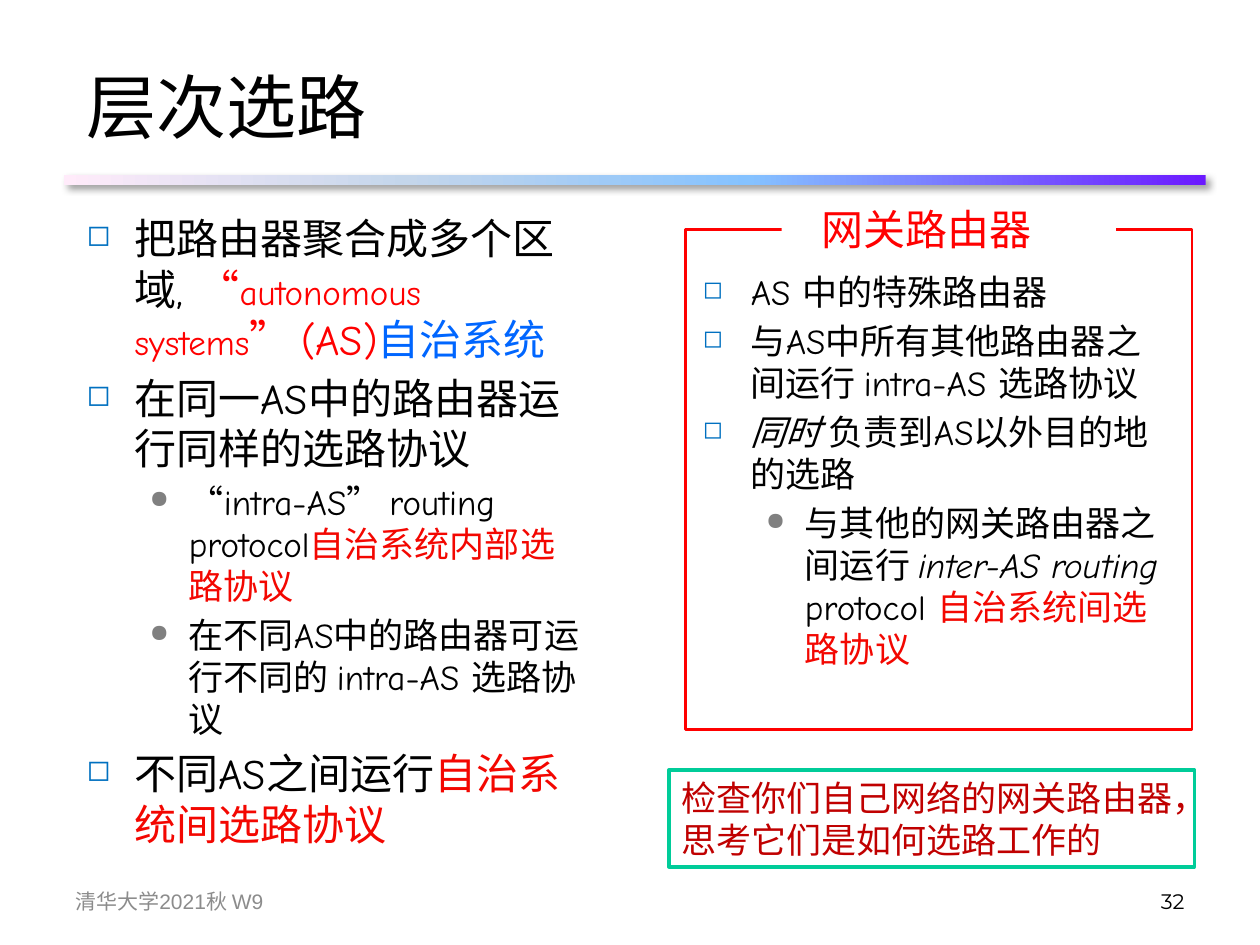
from lxml import etree
from pptx import Presentation
from pptx.dml.color import RGBColor
from pptx.enum.shapes import MSO_SHAPE
from pptx.enum.text import MSO_ANCHOR, MSO_AUTO_SIZE, PP_ALIGN
from pptx.oxml import parse_xml
from pptx.oxml.ns import qn
from pptx.util import Inches, Pt

RECT = MSO_SHAPE.RECTANGLE
TOP, MIDDLE = MSO_ANCHOR.TOP, MSO_ANCHOR.MIDDLE
LEFT, CENTER, RIGHT = PP_ALIGN.LEFT, PP_ALIGN.CENTER, PP_ALIGN.RIGHT
BLACK = RGBColor(0x00, 0x00, 0x00)
WHITE = RGBColor(0xFF, 0xFF, 0xFF)
RED = RGBColor(0xFF, 0x00, 0x00)
TERM_RED = RGBColor(0xF3, 0x07, 0x01)
DARK_RED = RGBColor(0xC0, 0x00, 0x00)
BLUE = RGBColor(0x00, 0x66, 0xFF)
BULLET_BLUE = RGBColor(0x00, 0x70, 0xC0)
BULLET_GRAY = RGBColor(0x80, 0x80, 0x80)
FOOTER_GRAY = RGBColor(0x8C, 0x8C, 0x8C)
GREEN = RGBColor(0x00, 0xCC, 0x99)
BAR_STOPS = [(0, RGBColor(0x6B, 0x19, 0xFF)), (40, RGBColor(0x85, 0xC2, 0xFF)),
             (70, RGBColor(0xC4, 0xD6, 0xEB)), (100, RGBColor(0xFF, 0xEB, 0xFA))]
DRAWING_NS = "http://schemas.openxmlformats.org/drawingml/2006/main"
BODY_FONT = "Comic Neue"
# Per level: bullet, bullet colour, text indent, hanging indent
LEVELS = [("◻", BULLET_BLUE, 0.38, 0.38), ("●", BULLET_GRAY, 0.81, 0.31)]

# Each item: level, runs of (text, size, colour, italic)
AS_ITEMS = [
    (0, [("把路由器聚合成多个区域,", 24, BLACK, False), (" “", 24, RED, False),
         ("autonomous systems", 20, RED, False), ("” (AS)", 24, RED, False),
         ("自治系统", 24, BLUE, False)]),
    (0, [("在同一AS中的路由器运行同样的选路协议", 24, BLACK, False)]),
    (1, [("“intra-AS” routing protocol", 20, BLACK, False),
         ("自治系统内部选路协议", 20, TERM_RED, False)]),
    (1, [("在不同AS中的路由器可运行不同的 intra-AS 选路协议", 20, BLACK, False)]),
    (0, [("不同AS之间运行", 24, BLACK, False),
         ("自治系统间选路协议", 24, TERM_RED, False)]),
]
GATEWAY_ITEMS = [
    (0, [("AS 中的特殊路由器", 20, BLACK, False)]),
    (0, [("与AS中所有其他路由器之间运行 intra-AS 选路协议", 20, BLACK, False)]),
    (0, [("同时 ", 20, BLACK, True), ("负责到AS以外目的地的选路", 20, BLACK, False)]),
    (1, [("与其他的网关路由器之间运行 ", 20, BLACK, False),
         ("inter-AS routing", 20, BLACK, True), (" protocol ", 20, BLACK, False),
         ("自治系统间选路协议", 20, TERM_RED, False)]),
]


def inches(box):
    return [Inches(value) for value in box]


def inside(box, left, top, width, height):
    """Return a box whose place and size are shares of the outer box."""
    x, y, w, h = box
    return x + left * w, y + top * h, width * w, height * h


def add_span(para, text, size, color, font, italic=False):
    span = para.add_run()
    span.text = text
    span.font.size, span.font.name = Pt(size), font
    span.font.color.rgb = color
    span.font.italic = italic


def set_frame(shape, anchor=TOP, wrap=True):
    frame = shape.text_frame
    frame.word_wrap = wrap
    frame.auto_size = MSO_AUTO_SIZE.NONE
    frame.vertical_anchor = anchor
    return frame


def add_line_of_text(page, box, text, size, color, font, align, anchor=MIDDLE, wrap=True):
    frame = set_frame(page.shapes.add_textbox(*inches(box)), anchor, wrap)
    para = frame.paragraphs[0]
    para.alignment = align
    add_span(para, text, size, color, font)


def add_rect(page, box, fill=None, line=None, weight=1.5):
    shape = page.shapes.add_shape(RECT, *inches(box))
    shape.shadow.inherit = False
    if fill is None:
        shape.fill.background()
    else:
        shape.fill.solid()
        shape.fill.fore_color.rgb = fill
    if line is None:
        shape.line.fill.background()
    else:
        shape.line.color.rgb = line
        shape.line.width = Pt(weight)
    return shape


def set_bullet(para, level):
    mark, color, indent, hanging = LEVELS[level]
    props = para._p.get_or_add_pPr()
    props.set("marL", str(Inches(indent)))
    props.set("indent", str(-Inches(hanging)))
    bullet_color = etree.SubElement(props, qn("a:buClr"))
    etree.SubElement(bullet_color, qn("a:srgbClr"), val=str(color))
    etree.SubElement(props, qn("a:buSzPct"), val="70000")
    etree.SubElement(props, qn("a:buChar"), char=mark)


def add_bullets(page, box, items):
    frame = set_frame(page.shapes.add_textbox(*inches(box)))
    for number, (level, spans) in enumerate(items):
        para = frame.add_paragraph() if number else frame.paragraphs[0]
        para.level = level
        para.space_before = Pt(0.2 * spans[0][1])
        set_bullet(para, level)
        for text, size, color, italic in spans:
            add_span(para, text, size, color, BODY_FONT, italic)


def add_title(page, box):
    title = page.shapes.title
    title.left, title.top, title.width, title.height = inches(box)
    para = set_frame(title, MIDDLE).paragraphs[0]
    para.alignment = LEFT
    add_span(para, "层次选路", 40, BLACK, "Calibri")


def add_title_bar(page, box):
    """Draw the shaded rule under the title, with its soft shadow."""
    bar = add_rect(page, box, WHITE)
    props = bar._element.spPr
    stops = "".join(f'<a:gs pos="{share * 1000}"><a:srgbClr val="{color}"/></a:gs>'
                    for share, color in BAR_STOPS)
    gradient = parse_xml(f'<a:gradFill xmlns:a="{DRAWING_NS}"><a:gsLst>{stops}</a:gsLst>'
                         '<a:lin ang="10800000" scaled="0"/></a:gradFill>')
    props.replace(props.find(qn("a:solidFill")), gradient)
    shadow = parse_xml(
        f'<a:outerShdw xmlns:a="{DRAWING_NS}" blurRad="{Pt(4)}" dist="{Pt(3)}" dir="2700000">'
        '<a:srgbClr val="000000"><a:alpha val="40000"/></a:srgbClr></a:outerShdw>')
    props.find(qn("a:effectLst")).append(shadow)


def add_gateway_panel(page, box):
    """Draw the framed list whose heading interrupts the top edge."""
    add_bullets(page, inside(box, 0.01, 0.07, 0.98, 1.05), GATEWAY_ITEMS)
    add_rect(page, box, line=RED)
    add_rect(page, inside(box, 0.19, -0.035, 0.66, 0.08), WHITE)
    add_line_of_text(page, inside(box, 0.24, -0.065, 0.47, 0.13), "网关路由器",
                     24, RED, BODY_FONT, CENTER, TOP, wrap=False)


def add_task_box(page, box):
    task = add_rect(page, box, WHITE, GREEN, 2)
    para = set_frame(task, TOP).paragraphs[0]
    para.alignment = LEFT
    add_span(para, "检查你们自己网络的网关路由器，思考它们是如何选路工作的",
             20, DARK_RED, "Calibri")


def add_footer(page, box):
    add_line_of_text(page, inside(box, 0, 0, 0.26, 1), "清华大学2021秋 W9",
                     12, FOOTER_GRAY, "Arial", LEFT)
    add_line_of_text(page, inside(box, 0.74, 0, 0.26, 1), "32",
                     12, BLACK, "Montserrat", RIGHT)


def main():
    deck = Presentation()
    deck.slide_width, deck.slide_height = Inches(10), Inches(7.5)
    page = deck.slides.add_slide(deck.slide_layouts.get_by_name("Title Only"))
    add_title_bar(page, (0.51, 1.39, 9.06, 0.08))
    add_title(page, (0.59, 0.29, 8.82, 1.1))
    add_footer(page, (0.5, 6.95, 9, 0.4))
    add_bullets(page, (0.59, 1.64, 4.17, 5.26), AS_ITEMS)
    add_gateway_panel(page, (5.44, 1.82, 4.02, 3.97))
    add_task_box(page, (5.31, 6.11, 4.17, 0.77))
    deck.save("out.pptx")


if __name__ == "__main__":
    main()
